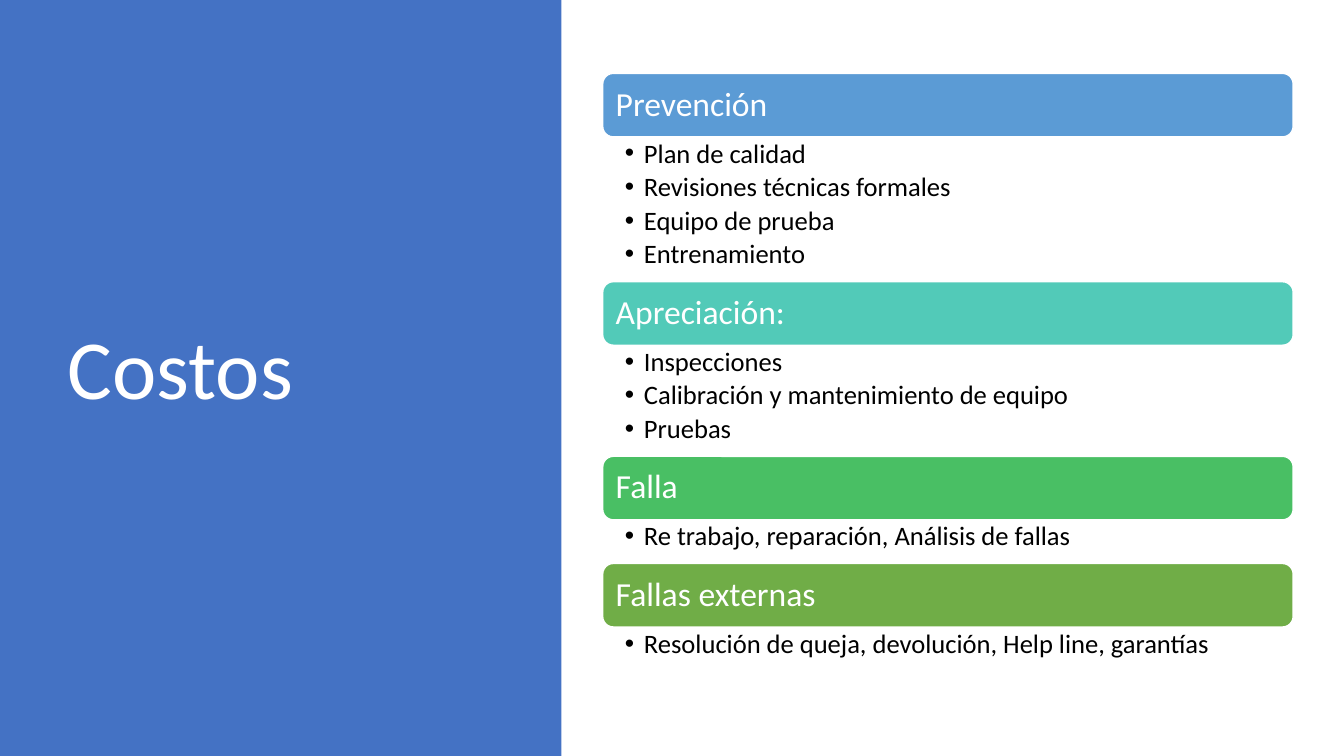
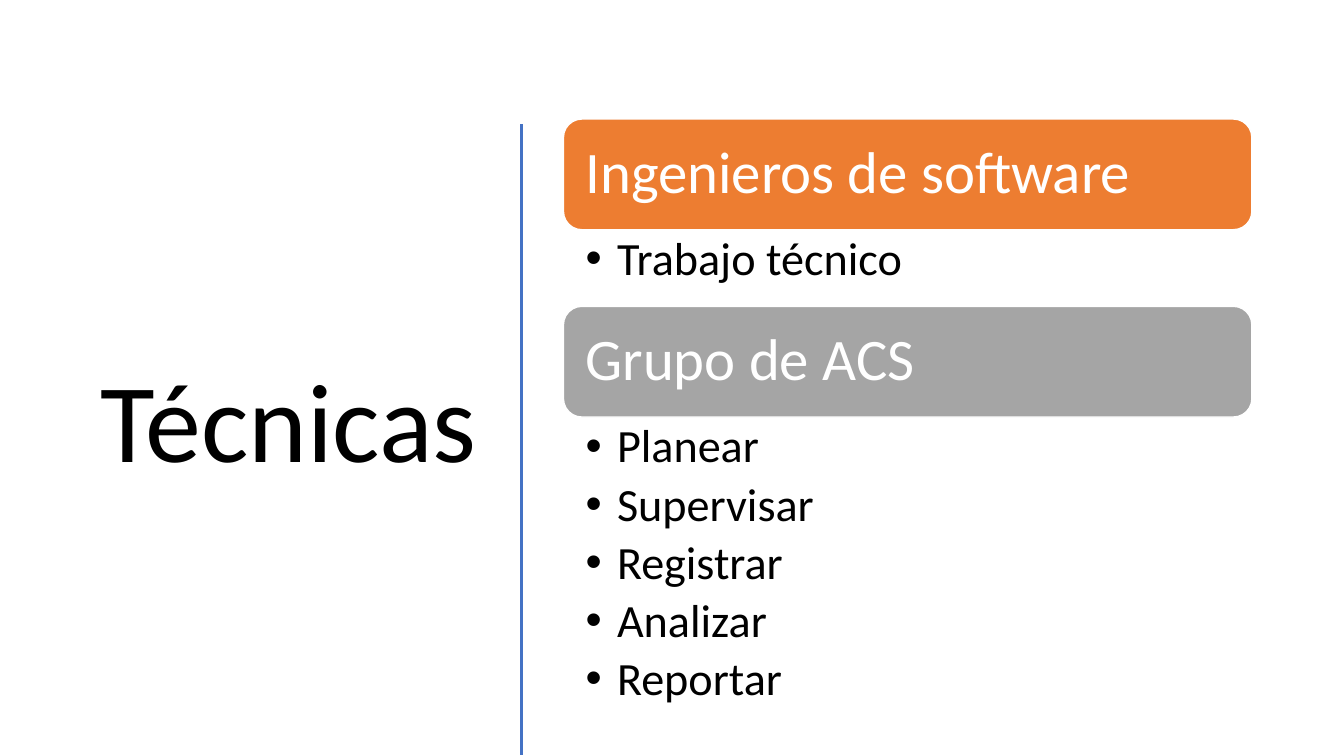
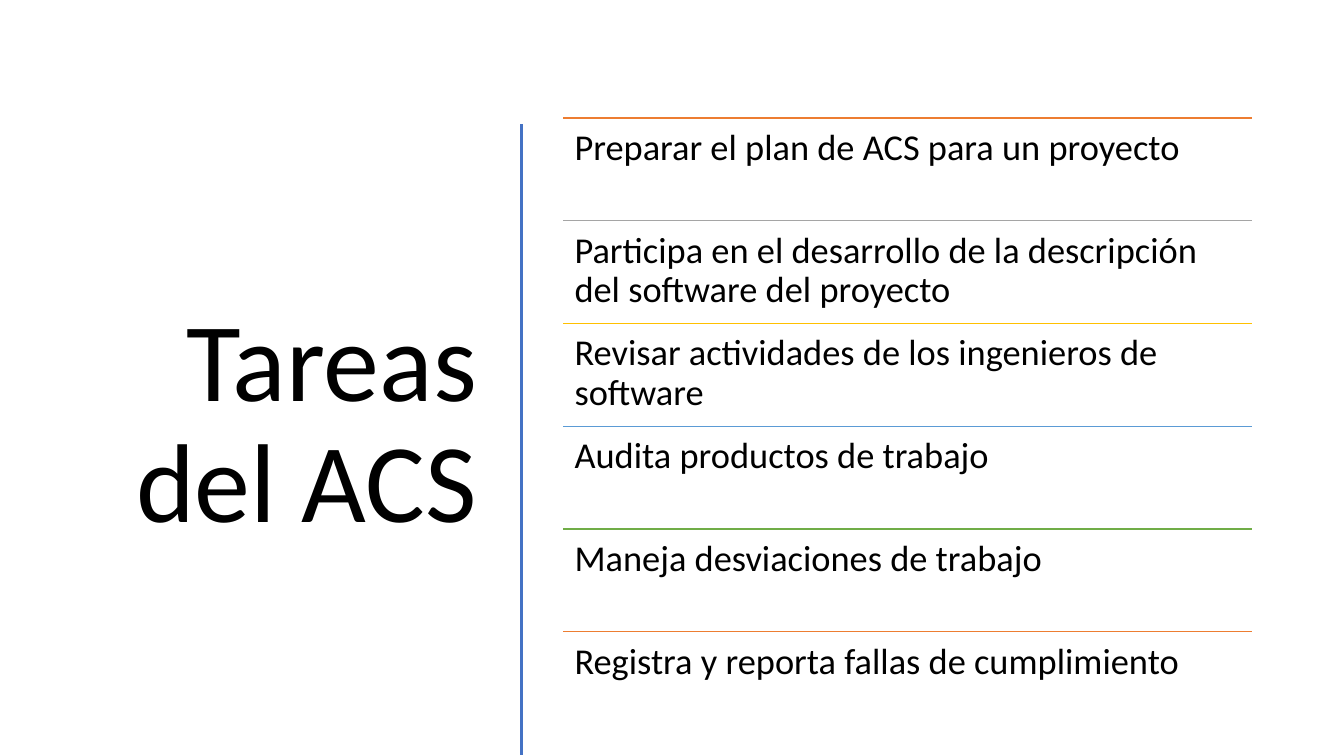
from dataclasses import dataclass

from lxml import etree
from pptx import Presentation
from pptx.dml.color import RGBColor
from pptx.enum.shapes import MSO_CONNECTOR, MSO_SHAPE
from pptx.enum.text import MSO_ANCHOR, PP_ALIGN
from pptx.oxml.ns import qn
from pptx.util import Cm, Pt

RECTANGLE, ROUNDED = MSO_SHAPE.RECTANGLE, MSO_SHAPE.ROUNDED_RECTANGLE
STRAIGHT = MSO_CONNECTOR.STRAIGHT
TOP, MIDDLE = MSO_ANCHOR.TOP, MSO_ANCHOR.MIDDLE
LEFT, RIGHT = PP_ALIGN.LEFT, PP_ALIGN.RIGHT

# Content
COSTS_TITLE = "Costos"
COSTS = [
    ("Prevención", "sky", ["Plan de calidad", "Revisiones técnicas formales",
                           "Equipo de prueba", "Entrenamiento"]),
    ("Apreciación:", "teal", ["Inspecciones", "Calibración y mantenimiento de equipo",
                              "Pruebas"]),
    ("Falla", "emerald", ["Re trabajo, reparación, Análisis de fallas"]),
    ("Fallas externas", "green", ["Resolución de queja, devolución, Help line, garantías"]),
]
TECHNIQUES_TITLE = "Técnicas"
TECHNIQUES = [
    ("Ingenieros de software", "orange", ["Trabajo técnico"]),
    ("Grupo de ACS", "gray", ["Planear", "Supervisar", "Registrar", "Analizar", "Reportar"]),
]
TASKS_TITLE = "Tareas del ACS"
TASKS = [
    ("Preparar el plan de ACS para un proyecto", "orange"),
    ("Participa en el desarrollo de la descripción del software del proyecto", "gray"),
    ("Revisar actividades de los ingenieros de software", "gold"),
    ("Audita productos de trabajo", "sky"),
    ("Maneja desviaciones de trabajo", "green"),
    ("Registra y reporta fallas de cumplimiento", "orange"),
]


# Theme: colours, type sizes and shared measures (cm)
class Theme:
    font = "Calibri"
    panel_title, side_title, task = 60, 80, 26
    line_spacing, bullet_gap = 0.9, 0.18
    slide_width, slide_height = 33.87, 19.05
    title_margins = (0.25, 0.13, 0.25, 0.13)
    colors = {
        "white": "FFFFFF", "black": "000000", "blue": "4472C4", "sky": "5B9BD5",
        "teal": "52CAB8", "emerald": "49BF64", "green": "70AD47",
        "orange": "ED7D31", "gray": "A5A5A5", "gold": "FFC000",
    }


@dataclass
class ListStyle:
    """Measures of a stack of headed bullet lists, in cm and points."""
    left: float
    top: float
    width: float
    header_height: float
    header_margin: float
    header_size: int
    first_item: float
    next_item: float
    item_margins: tuple
    item_size: int
    indent: float


COST_STYLE = ListStyle(15.19, 1.85, 17.4, 1.6, 0.25, 24,
                       1.1, 0.85, (0.56, 0.08, 0.48, 0.08), 19, 0.48)
TECHNIQUE_STYLE = ListStyle(14.2, 3, 17.35, 2.79, 0.42, 42,
                            1.93, 1.51, (0.56, 0.15, 0.84, 0.15), 33, 0.79)


def color(name):
    return RGBColor.from_string(Theme.colors[name])


# Drawing helpers
def write(shape, lines, *, size, ink="black", align=LEFT, anchor=TOP,
          margins=(0, 0, 0, 0), bullet_indent=0):
    frame = shape.text_frame
    frame.word_wrap = True
    frame.vertical_anchor = anchor
    (frame.margin_left, frame.margin_top,
     frame.margin_right, frame.margin_bottom) = map(Cm, margins)
    for index, line in enumerate(lines):
        paragraph = frame.paragraphs[0] if index == 0 else frame.add_paragraph()
        paragraph.alignment = align
        paragraph.line_spacing = Theme.line_spacing
        run = paragraph.add_run()
        run.text = line
        run.font.name = Theme.font
        run.font.size = Pt(size)
        run.font.color.rgb = color(ink)
        if bullet_indent:
            paragraph.space_after = Pt(size * Theme.bullet_gap)
            add_bullet(paragraph, Cm(bullet_indent))


def add_bullet(paragraph, indent):
    properties = paragraph._p.get_or_add_pPr()
    properties.set("marL", str(indent))
    properties.set("indent", str(-indent))
    etree.SubElement(properties, qn("a:buFont")).set("typeface", "Arial")
    etree.SubElement(properties, qn("a:buChar")).set("char", "•")


def add_text(slide, box, lines, **text_format):
    write(slide.shapes.add_textbox(*map(Cm, box)), lines, **text_format)


def add_block(slide, kind, box, fill, outline=None):
    shape = slide.shapes.add_shape(kind, *map(Cm, box))
    shape.shadow.inherit = False
    shape.fill.solid()
    shape.fill.fore_color.rgb = color(fill)
    if outline:
        shape.line.color.rgb = color(outline)
        shape.line.width = Pt(1)
    else:
        shape.line.fill.background()
    return shape


def add_line(slide, start, end, ink, width):
    line = slide.shapes.add_connector(STRAIGHT, *map(Cm, start + end))
    line.line.color.rgb = color(ink)
    line.line.width = Pt(width)
    etree.SubElement(line._element.spPr, qn("a:effectLst"))


def add_side_title(slide, title):
    add_text(slide, (1.32, 2.97, 10.95, 15.52), [title], size=Theme.side_title,
             align=RIGHT, anchor=MIDDLE, margins=Theme.title_margins)
    add_line(slide, (13.14, 3.13), (13.14, 19.03), "blue", 2)


def add_headed_lists(slide, groups, style):
    top = style.top
    for heading, fill, items in groups:
        header = add_block(slide, ROUNDED,
                           (style.left, top, style.width, style.header_height),
                           fill, outline="white")
        write(header, [heading], size=style.header_size, ink="white", anchor=MIDDLE,
              margins=(style.header_margin,) * 4)
        top += style.header_height
        height = style.first_item + style.next_item * (len(items) - 1)
        add_text(slide, (style.left, top, style.width, height), items,
                 size=style.item_size, margins=style.item_margins,
                 bullet_indent=style.indent)
        top += height


# Slides
def build_costs(slide):
    add_block(slide, RECTANGLE, (0, 0, 14.15, Theme.slide_height), "blue")
    add_text(slide, (1.45, 1.73, 10.57, 15.29), [COSTS_TITLE], size=Theme.panel_title,
             ink="white", anchor=MIDDLE, margins=Theme.title_margins)
    add_headed_lists(slide, COSTS, COST_STYLE)


def build_techniques(slide):
    add_side_title(slide, TECHNIQUES_TITLE)
    add_headed_lists(slide, TECHNIQUES, TECHNIQUE_STYLE)


def build_tasks(slide):
    add_side_title(slide, TASKS_TITLE)
    left, first_top, width, row_height = 14.2, 2.97, 17.35, 2.59
    for index, (task, ink) in enumerate(TASKS):
        top = first_top + index * row_height
        add_line(slide, (left, top), (left + width, top), ink, 1)
        add_text(slide, (left, top, width, row_height), [task],
                 size=Theme.task, margins=(0.28,) * 4)


def main():
    presentation = Presentation()
    presentation.slide_width = Cm(Theme.slide_width)
    presentation.slide_height = Cm(Theme.slide_height)
    blank = presentation.slide_layouts[6]
    for build in (build_costs, build_techniques, build_tasks):
        build(presentation.slides.add_slide(blank))
    presentation.save("out.pptx")


if __name__ == "__main__":
    main()
